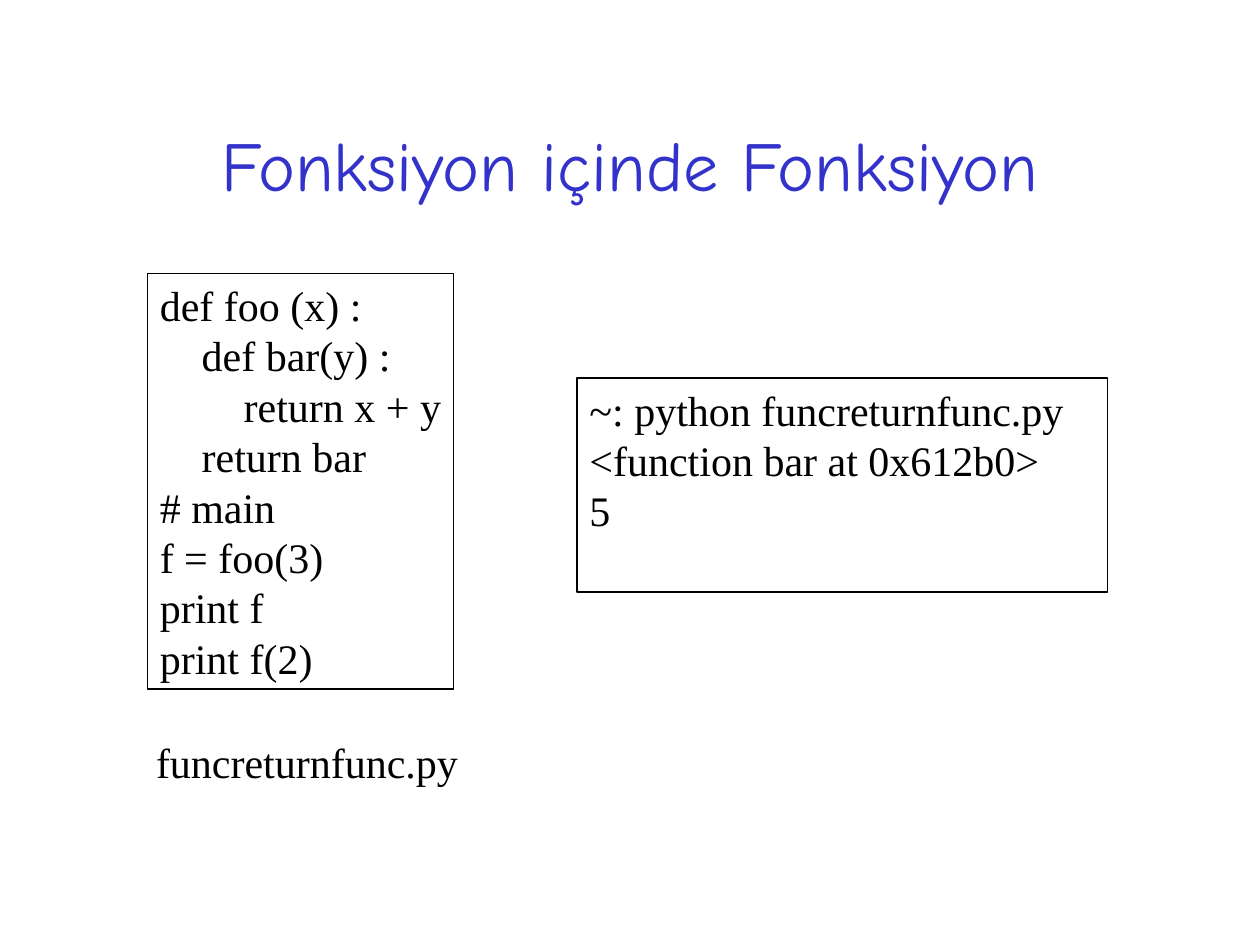
from pptx import Presentation
from pptx.dml.color import RGBColor
from pptx.enum.shapes import MSO_SHAPE
from pptx.enum.text import MSO_ANCHOR, PP_ALIGN
from pptx.util import Inches, Pt

COLORS = {"title": "3333CC", "text": "000000", "line": "000000"}

CODE = """def foo (x) :
    def bar(y) :
        return x + y
    return bar
# main
f = foo(3)
print f
print f(2)"""

OUTPUT = """~: python funcreturnfunc.py
<function bar at 0x612b0>
5"""


def fill_text(shape, text, wrap=True):
    """Write left-aligned text from the top of the shape."""
    frame = shape.text_frame
    frame.text = text
    frame.word_wrap = wrap
    frame.vertical_anchor = MSO_ANCHOR.TOP
    for paragraph in frame.paragraphs:
        paragraph.alignment = PP_ALIGN.LEFT
        paragraph.line_spacing = Pt(28.8)
        for run in paragraph.runs:
            run.font.name = "Times New Roman"
            run.font.size = Pt(24)
            run.font.color.rgb = RGBColor.from_string(COLORS["text"])


presentation = Presentation()
presentation.slide_width = Inches(10)
presentation.slide_height = Inches(7.5)
slide = presentation.slides.add_slide(presentation.slide_layouts[5])

title = slide.shapes.title
title.left, title.top = Inches(0.75), Inches(0.67)
title.width, title.height = Inches(8.5), Inches(1.25)
title.text_frame.text = "Fonksiyon içinde Fonksiyon"
title.text_frame.vertical_anchor = MSO_ANCHOR.MIDDLE
paragraph = title.text_frame.paragraphs[0]
paragraph.alignment = PP_ALIGN.CENTER
title_font = paragraph.runs[0].font
title_font.name = "Comic Neue"
title_font.size = Pt(40)
title_font.color.rgb = RGBColor.from_string(COLORS["title"])

framed_boxes = [
    (CODE, 1.17, 2.17, 2.43, 3.3, False),
    (OUTPUT, 4.58, 3, 4.21, 1.7, True),
]
for text, left, top, width, height, wrap in framed_boxes:
    box = slide.shapes.add_shape(
        MSO_SHAPE.RECTANGLE, Inches(left), Inches(top), Inches(width), Inches(height)
    )
    box.shadow.inherit = False
    box.fill.background()
    box.line.color.rgb = RGBColor.from_string(COLORS["line"])
    box.line.width = Pt(0.75)
    fill_text(box, text, wrap)

caption = slide.shapes.add_textbox(Inches(1.14), Inches(5.8), Inches(2.6), Inches(0.5))
fill_text(caption, "funcreturnfunc.py")

presentation.save("out.pptx")
